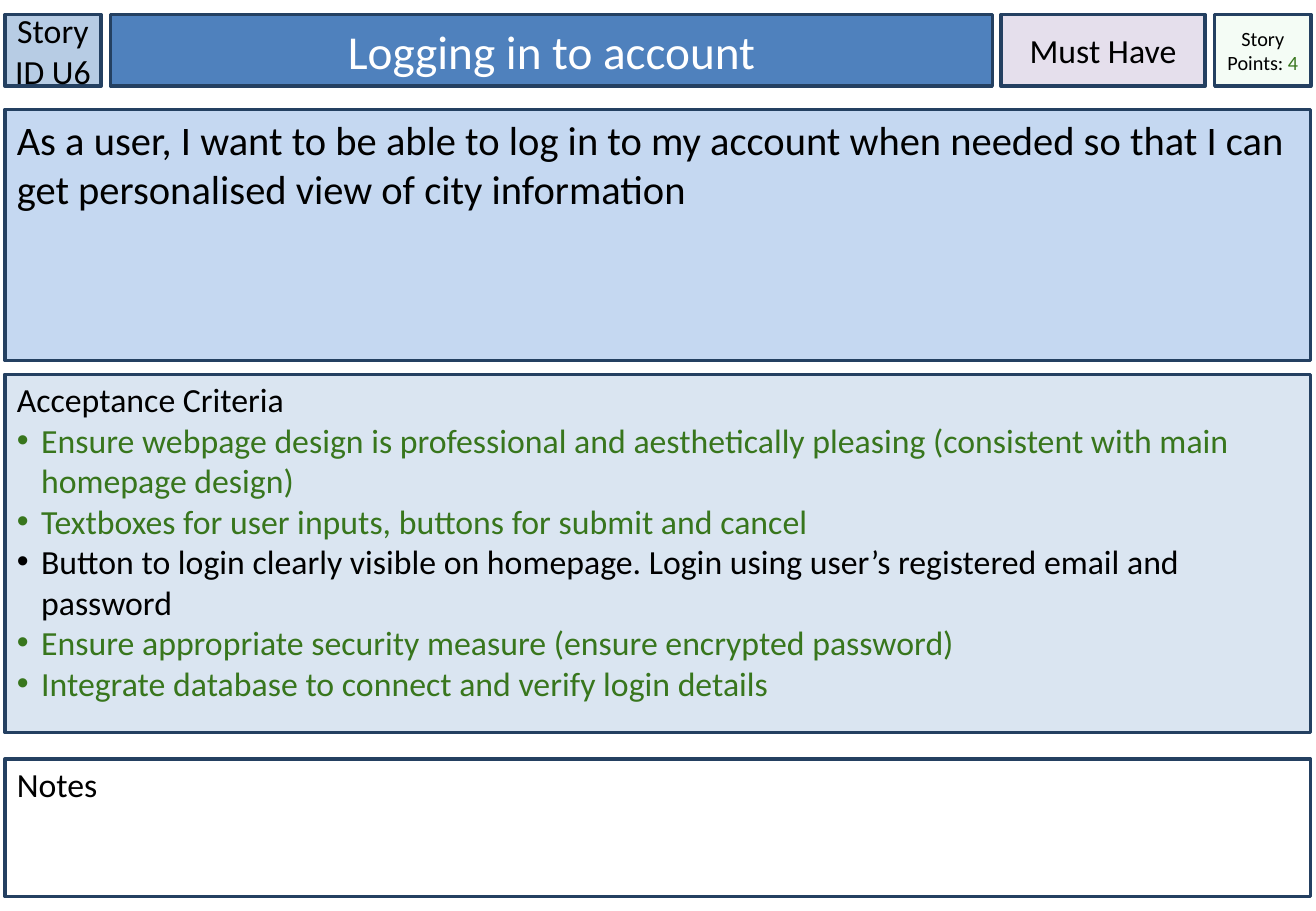
from pptx import Presentation
from pptx.dml.color import RGBColor
from pptx.enum.shapes import MSO_SHAPE
from pptx.enum.text import MSO_ANCHOR, MSO_AUTO_SIZE, PP_ALIGN
from pptx.oxml.ns import qn
from pptx.util import Pt
from lxml.etree import SubElement

BLACK, GREEN, NAVY = "000000", "38761D", "244061"
LEFT, WIDE = 2.9, 774

CRITERIA = [
    ("Ensure webpage design is professional and aesthetically pleasing "
     "(consistent with main homepage design)", GREEN),
    ("Textboxes for user inputs, buttons for submit and cancel", GREEN),
    ("Button to login clearly visible on homepage. Login using user’s "
     "registered email and password", BLACK),
    ("Ensure appropriate security measure (ensure encrypted password)", GREEN),
    ("Integrate database to connect and verify login details", GREEN),
]


def color(code):
    return RGBColor.from_string(code)


def style(par, size, code=BLACK, align=PP_ALIGN.LEFT):
    par.alignment = align
    for run in par.runs:
        run.font.name = "Calibri"
        run.font.size = Pt(size)
        run.font.color.rgb = color(code)


def frame(shape, box, fill, side=7.2, top=3.6, anchor=MSO_ANCHOR.TOP):
    """Place a card part and give it its fill, border and text margins."""
    shape.left, shape.top, shape.width, shape.height = map(Pt, box)
    shape.fill.solid()
    shape.fill.fore_color.rgb = color(fill)
    shape.line.color.rgb = color(NAVY)
    shape.line.width = Pt(2)
    text = shape.text_frame
    text.word_wrap = True
    text.auto_size = MSO_AUTO_SIZE.NONE
    text.vertical_anchor = anchor
    text.margin_left = text.margin_right = Pt(side)
    text.margin_top, text.margin_bottom = Pt(top), Pt(3.6)


def panel(slide, box, fill, text, size, **margins):
    shape = slide.shapes.add_shape(MSO_SHAPE.RECTANGLE, *map(Pt, box))
    shape.shadow.inherit = False
    frame(shape, box, fill, **margins)
    shape.text_frame.text = text
    style(shape.text_frame.paragraphs[0], size)
    return shape


def tag(slide, box, fill, text, size):
    shape = panel(slide, box, fill, text, size, side=0,
                  anchor=MSO_ANCHOR.MIDDLE)
    shape.text_frame.paragraphs[0].alignment = PP_ALIGN.CENTER
    return shape


def fade(shape, percent):
    """Set the opacity of a solid fill."""
    tint = shape.fill._xPr.find(qn("a:solidFill"))[0]
    SubElement(tint, qn("a:alpha"), val=str(percent * 1000))


def bullet(par, code):
    props = par._p.get_or_add_pPr()
    props.set("marL", str(Pt(14.4)))
    props.set("indent", str(-Pt(14.4)))
    tint = SubElement(props, qn("a:buClr"))
    SubElement(tint, qn("a:srgbClr"), val=code)
    SubElement(props, qn("a:buFont"), typeface="Arial")
    SubElement(props, qn("a:buChar"), char="•")


def header(slide, top, height):
    def cell(left, width):
        return left, top, width, height

    tag(slide, cell(LEFT, 57), "B7CCE4", "Story ID U6", 20)

    title = slide.shapes.title
    frame(title, cell(65.5, 522.7), "4F81BD", anchor=MSO_ANCHOR.MIDDLE)
    title.text_frame.text = "Logging in to account"
    style(title.text_frame.paragraphs[0], 28, "FFFFFF", PP_ALIGN.CENTER)

    tag(slide, cell(593.3, 121), "E5DFEC", "Must Have", 20)

    points = tag(slide, cell(720, 57), "CCF0CD", "Story Points:", 12)
    fade(points, 20)
    par = points.text_frame.paragraphs[0]
    par.add_run().text = " 4"
    style(par, 12, align=PP_ALIGN.CENTER)
    par.runs[1].font.color.rgb = color(GREEN)


def criteria(slide, box):
    shape = panel(slide, box, "DAE5F1", "Acceptance Criteria", 20, top=2.9)
    for text, code in CRITERIA:
        par = shape.text_frame.add_paragraph()
        par.text = text
        style(par, 20, code)
        bullet(par, code)


def main():
    deck = Presentation()
    deck.slide_width, deck.slide_height = Pt(780), Pt(540)
    slide = deck.slides.add_slide(deck.slide_layouts[5])
    header(slide, 8.6, 42.5)
    panel(slide, (LEFT, 64.8, WIDE, 149), "C5D8F1",
          "As a user, I want to be able to log in to my account when needed "
          "so that I can get personalised view of city information", 24)
    criteria(slide, (LEFT, 221.8, WIDE, 212.4))
    panel(slide, (LEFT, 450, WIDE, 81.4), "FFFFFF", "Notes", 20, top=2.9)
    deck.save("out.pptx")


if __name__ == "__main__":
    main()
